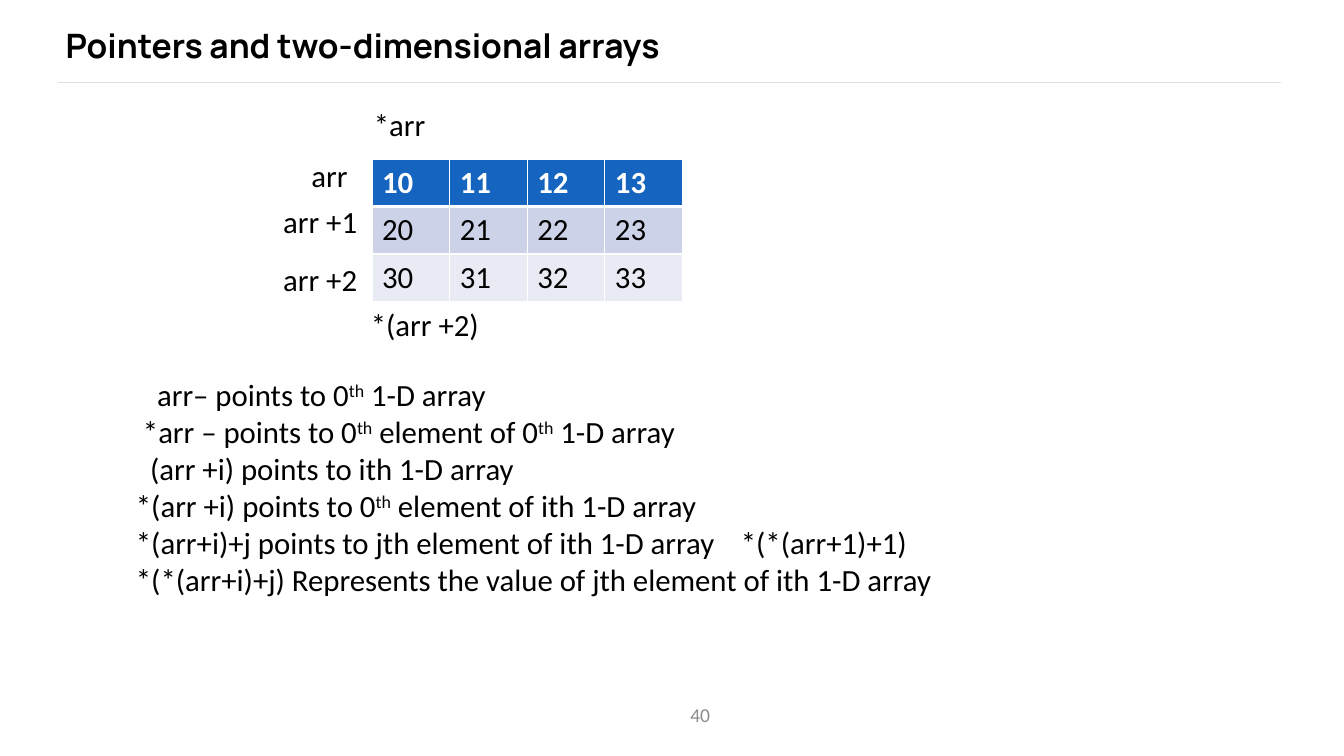
from lxml import etree
from pptx import Presentation
from pptx import util as u
from pptx.dml.color import RGBColor
from pptx.enum import shapes, text
from pptx.oxml import ns

BLACK = RGBColor(0x00, 0x00, 0x00)
WHITE = RGBColor(0xFF, 0xFF, 0xFF)
RULE_GREY = RGBColor(0xE0, 0xE0, 0xE0)
NUMBER_GREY = RGBColor(0x8C, 0x8C, 0x8C)
HEADER_BLUE = RGBColor(0x15, 0x65, 0xC0)
BAND_DARK = RGBColor(0xCC, 0xD3, 0xE8)
BAND_LIGHT = RGBColor(0xE8, 0xEA, 0xF4)

BODY_FONT = "Calibri"
TITLE_FONT = "Manrope"

ARRAY = [[10 * row + column for column in range(4)] for row in (1, 2, 3)]
ROW_FILLS = [HEADER_BLUE, BAND_DARK, BAND_LIGHT]

# Text, left and top offsets from the array table
POINTER_LABELS = [
    ("*arr", -0.08, -0.58),
    ("arr", -0.7, -0.07),
    ("arr +1", -0.98, 0.38),
    ("arr +2", -0.98, 0.96),
    ("*(arr +2)", -0.11, 1.4),
]

# Indent in inches, then runs that alternate between normal and superscript
RULES = [
    (0.21, ["arr– points to 0", "th", " 1-D array"]),
    (0.07, ["*arr – points to 0", "th", " element of 0", "th", " 1-D array"]),
    (0.14, ["(arr +i) points to ith 1-D array"]),
    (0, ["*(arr +i) points to 0", "th", " element of ith 1-D array"]),
    (0, ["*(arr+i)+j points to jth element of ith 1-D array\t*(*(arr+1)+1)"]),
    (0, ["*(*(arr+i)+j) Represents the value of jth element of ith 1-D array"]),
]
EXAMPLE_TAB = 5.88


def add_span(para, words, size=22, color=BLACK, bold=False, font=BODY_FONT):
    span = para.add_run()
    span.text = words
    span.font.name = font
    span.font.size = u.Pt(size)
    span.font.bold = bold
    span.font.color.rgb = color
    return span


def add_box(page, left, top, width, height):
    box = page.shapes.add_textbox(*map(u.Inches, (left, top, width, height)))
    box.text_frame.word_wrap = True
    return box.text_frame


def add_title(page, left, top, width, height):
    title = page.shapes.title
    title.left, title.top = u.Inches(left), u.Inches(top)
    title.width, title.height = u.Inches(width), u.Inches(height)
    frame = title.text_frame
    frame.margin_left = frame.margin_right = 0
    frame.margin_top = frame.margin_bottom = 0
    frame.vertical_anchor = text.MSO_ANCHOR.MIDDLE
    frame.auto_size = text.MSO_AUTO_SIZE.NONE
    para = frame.paragraphs[0]
    para.alignment = text.PP_ALIGN.LEFT
    add_span(para, "Pointers and two-dimensional arrays", 24, bold=True, font=TITLE_FONT)


def add_title_rule(page, left, top, width):
    rule = page.shapes.add_connector(
        shapes.MSO_CONNECTOR.STRAIGHT,
        *map(u.Inches, (left, top, left + width, top)))
    rule.line.color.rgb = RULE_GREY
    rule.line.width = u.Pt(0.75)
    etree.SubElement(rule._element.spPr, ns.qn("a:effectLst"))


def add_cell_borders(cell, bottom):
    """Draw white borders, with the given bottom width in points."""
    properties = cell._tc.get_or_add_tcPr()
    for side, width in (("L", 1), ("R", 1), ("T", 1), ("B", bottom)):
        line = etree.SubElement(properties, ns.qn(f"a:ln{side}"), w=str(u.Pt(width)))
        fill = etree.SubElement(line, ns.qn("a:solidFill"))
        etree.SubElement(fill, ns.qn("a:srgbClr"), val=str(WHITE))


def add_array_table(page, left, top, cell_width, cell_height):
    rows, columns = len(ARRAY), len(ARRAY[0])
    table = page.shapes.add_table(
        rows, columns,
        *map(u.Inches, (left, top, columns * cell_width, rows * cell_height))).table
    for r, values in enumerate(ARRAY):
        header = r == 0
        for c, value in enumerate(values):
            cell = table.cell(r, c)
            add_cell_borders(cell, 3 if header else 1)
            cell.fill.solid()
            cell.fill.fore_color.rgb = ROW_FILLS[r]
            add_span(cell.text_frame.paragraphs[0], str(value),
                     color=WHITE if header else BLACK, bold=header)


def add_array_diagram(page, left, top):
    add_array_table(page, left, top, 0.77, 0.47)
    for words, across, down in POINTER_LABELS:
        frame = add_box(page, left + across, top + down, 1.54, 0.47)
        add_span(frame.paragraphs[0], words)


def add_pointer_rules(page, left, top, width, height):
    frame = add_box(page, left, top, width, height)
    for number, (indent, parts) in enumerate(RULES):
        para = frame.add_paragraph() if number else frame.paragraphs[0]
        properties = para._p.get_or_add_pPr()
        properties.set("marL", str(u.Inches(indent)))
        properties.set("indent", "0")
        if "\t" in parts[0]:
            tabs = etree.SubElement(properties, ns.qn("a:tabLst"))
            etree.SubElement(tabs, ns.qn("a:tab"), pos=str(u.Inches(EXAMPLE_TAB)), algn="l")
        for position, words in enumerate(parts):
            span = add_span(para, words)
            if position % 2:
                span.font._element.set("baseline", "30000")


def add_page_number(page, left, top, width, height):
    frame = add_box(page, left, top, width, height)
    frame.vertical_anchor = text.MSO_ANCHOR.MIDDLE
    para = frame.paragraphs[0]
    para.alignment = text.PP_ALIGN.CENTER
    add_span(para, "40", 14, NUMBER_GREY)


def main():
    deck = Presentation()
    deck.slide_width, deck.slide_height = u.Inches(13.33), u.Inches(7.5)
    page = deck.slides.add_slide(deck.slide_layouts.get_by_name("Title Only"))
    add_title_rule(page, 0.58, 0.82, 12.13)
    add_title(page, 0.65, 0.19, 10.26, 0.52)
    add_page_number(page, 5.39, 6.89, 3.11, 0.4)
    add_array_diagram(page, 3.69, 1.58)
    add_pointer_rules(page, 1.25, 3.68, 11.17, 2.32)
    deck.save("out.pptx")


if __name__ == "__main__":
    main()
